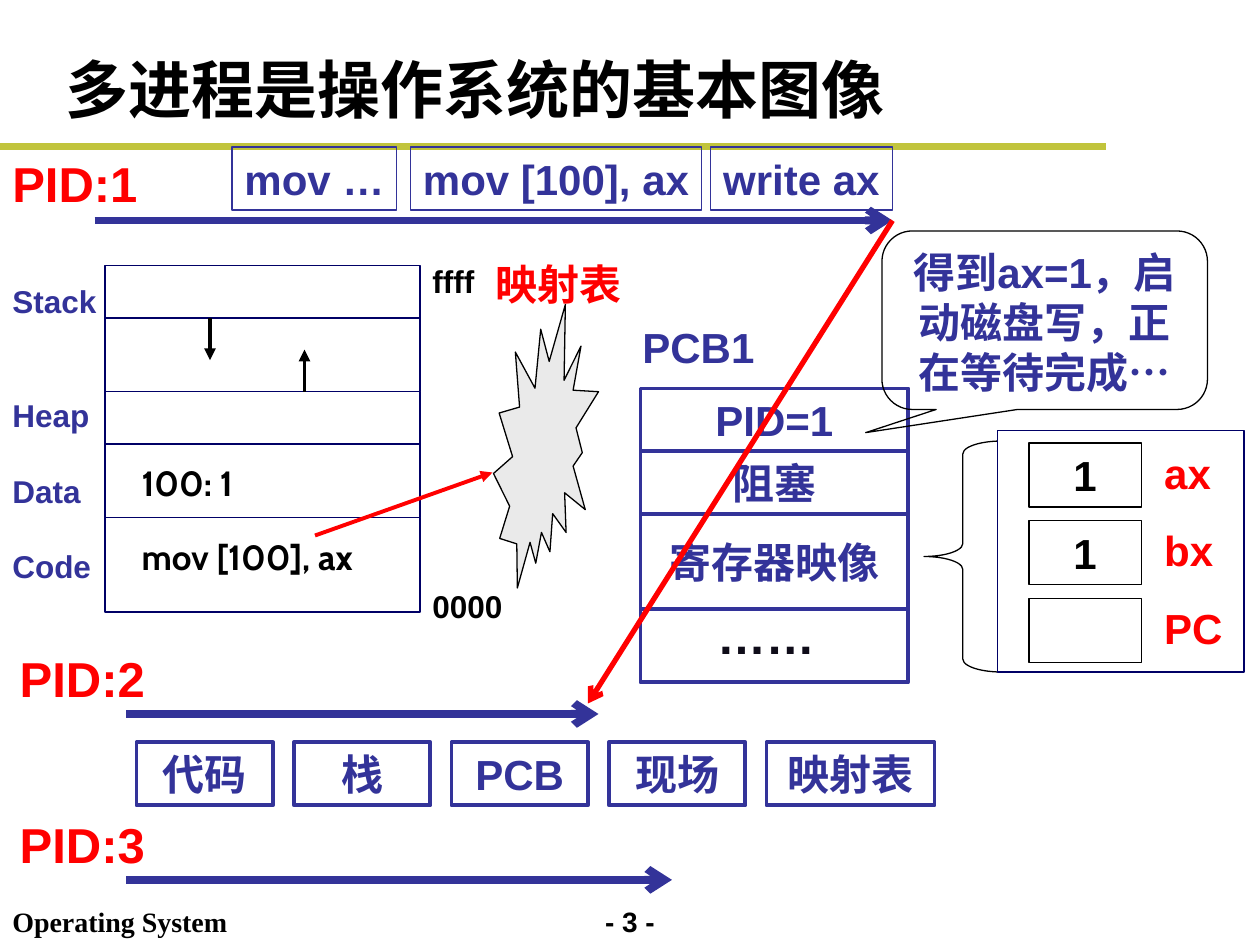
from dataclasses import dataclass
from lxml import etree
from pptx import Presentation
from pptx.dml.color import RGBColor
from pptx.enum.shapes import MSO_CONNECTOR, MSO_SHAPE
from pptx.enum.text import MSO_ANCHOR, PP_ALIGN
from pptx.oxml.ns import qn
from pptx.util import Inches, Pt

RECT, SEAL = MSO_SHAPE.RECTANGLE, MSO_SHAPE.EXPLOSION2
BRACE, CALLOUT = MSO_SHAPE.LEFT_BRACE, MSO_SHAPE.ROUNDED_RECTANGULAR_CALLOUT
STRAIGHT = MSO_CONNECTOR.STRAIGHT
LEFT, CENTER = PP_ALIGN.LEFT, PP_ALIGN.CENTER
TOP, MIDDLE = MSO_ANCHOR.TOP, MSO_ANCHOR.MIDDLE


@dataclass(frozen=True)
class Theme:
    black: str = "000000"
    blue: str = "333399"
    navy: str = "000066"
    red: str = "FF0000"
    olive: str = "C1C43C"
    grey: str = "EAEAEA"
    white: str = "FFFFFF"
    ink: str = "0F0C19"
    title: int = 36
    pid: int = 28
    body: int = 24
    code: int = 20
    label: int = 18
    footer: int = 16
    thin: float = 0.75
    medium: float = 2.25
    thick: float = 4.5


T = Theme()

# Content; all positions are in grid units, 12 to the inch (120 columns, 90 rows)
TITLE = "多进程是操作系统的基本图像"
PROCESSES = [  # name, name x, name y, arrow start x, arrow end x, arrow y
    ("PID:1", 0, 14, 9, 85, 21),
    ("PID:2", 0.7, 61.2, 12, 57, 68),
    ("PID:3", 0.7, 77, 12, 64, 83.8),
]
INSTRUCTIONS = [("mov …", 22.1, 15.7), ("mov [100], ax", 39.1, 27.7),
                ("write ax", 67.7, 17.3)]
MEMORY = [("", 5), ("", 7), ("", 5), ("100: 1", 7), ("mov [100], ax", 9)]
SEGMENTS = [("Stack", 0), ("Heap", 43.5), ("Data", 21.5), ("Code", 21.5)]
PCB = [("PID=1", 6, "Arial"), ("阻塞", 6, "Arial"),
       ("寄存器映像", 9, "Comic Neue"), ("", 7, "Arial")]
REGISTERS = [("ax", "1"), ("bx", "1"), ("PC", "")]
PARTS = [("代码", 13), ("栈", 13), ("PCB", 13), ("现场", 13), ("映射表", 16)]

prs = Presentation()
prs.slide_width, prs.slide_height = Inches(10), Inches(7.5)
s = prs.slides.add_slide(prs.slide_layouts[6])


def grid(*units):
    return [Inches(u / 12) for u in units]


def write(sp, text, size=T.body, color=T.blue, font="Arial", align=LEFT,
          anchor=TOP, wrap=True, before=(), indent=0, top=0.05):
    """Fill a shape with bold text, one paragraph a line."""
    tf = sp.text_frame
    tf.word_wrap, tf.vertical_anchor = wrap, anchor
    tf.margin_top, tf.margin_left = Inches(top), Inches(0.1 + indent)
    for i, line in enumerate(text.split("\n")):
        p = tf.paragraphs[0] if i == 0 else tf.add_paragraph()
        p.alignment = align
        if before:
            p.space_before = Pt(before[i])
        r = p.add_run()
        r.text = line
        r.font.size, r.font.bold, r.font.name = Pt(size), True, font
        r.font.color.rgb = RGBColor.from_string(color)


def label(text, x, y, w, h, **fmt):
    write(s.shapes.add_textbox(*grid(x, y, w, h)), text, **fmt)


def shape(kind, x, y, w, h, line, width=T.thin, fill=None, text="", adjust=(), **fmt):
    sp = s.shapes.add_shape(kind, *grid(x, y, w, h))
    sp.shadow.inherit = False
    for i, value in enumerate(adjust):
        sp.adjustments[i] = value
    if fill:
        sp.fill.solid()
        sp.fill.fore_color.rgb = RGBColor.from_string(fill)
    else:
        sp.fill.background()
    sp.line.color.rgb = RGBColor.from_string(line)
    sp.line.width = Pt(width)
    if text:
        write(sp, text, **fmt)


def line(x1, y1, x2, y2, color, width, head=None):
    c = s.shapes.add_connector(STRAIGHT, *grid(x1, y1, x2, y2))
    c.line.color.rgb = RGBColor.from_string(color)
    c.line.width = Pt(width)
    if head:
        etree.SubElement(c.line._get_or_add_ln(), qn("a:tailEnd"), type=head)
    etree.SubElement(c._element.spPr, qn("a:effectLst"))


# Footer, rule and title
label("- 3 -", 54, 85.6, 12, 4.4, size=T.footer, color=T.black, align=CENTER)
label("Operating System", 0, 85.6, 26, 4.4, size=T.footer, color=T.black,
      font="Times New Roman")
line(0, 14, 105.3, 14, T.olive, 4)
label(TITLE, 5.1, 4, 103, 8.9, size=T.title, color=T.black, anchor=MIDDLE)

# Memory of process 1
y = 25.3
for text, h in MEMORY:
    shape(RECT, 10, y, 30, h, T.navy, fill=T.white, text=text, size=T.code,
          color=T.black, font="Cabin", indent=0.19, top=0.14)
    y += h
label("\n".join(name for name, _ in SEGMENTS), 0, 26.3, 12, 30, size=T.label,
      before=[gap for _, gap in SEGMENTS])
line(20, 30.3, 20, 34.3, T.black, T.medium, "triangle")
line(29, 37.3, 29, 33.3, T.black, T.medium, "triangle")
label("0000", 40, 55.3, 12, 4.8, size=T.label, color=T.black)
label("ffff", 40, 24.4, 8, 4.8, size=T.label, color=T.black)

# Mapping table
shape(SEAL, 47, 29, 10, 27, T.black, fill=T.grey)
label("映射表", 46, 24, 16, 6, color=T.red)
line(30, 51, 46.9, 45, T.red, T.medium, "triangle")

# Processes along their time arrows
for name, x, y, start, end, arrow_y in PROCESSES:
    line(start, arrow_y, end, arrow_y, T.blue, T.thick, "arrow")
    label(name, x, y, 16, 6.8, size=T.pid, color=T.red)
for text, x, w in INSTRUCTIONS:
    shape(RECT, x, 14, w, 6, T.blue, text=text, wrap=False)

# Register image
shape(BRACE, 88, 42, 7.4, 22, T.black, adjust=(0.1667, 0.5))
shape(RECT, 95, 41, 23.5, 23, T.navy, fill=T.white)
for i, (name, value) in enumerate(REGISTERS):
    y = 42.2 + 7.4 * i
    shape(RECT, 98, y, 10.7, 6.1, T.black, text=value, color=T.black, align=CENTER)
    label(name, 109.7, y - 0.2, 10.3, 6, color=T.red)

# Process control block
label("PCB1", 60, 30, 15, 6)
y = 37
for text, h, font in PCB:
    shape(RECT, 61, y, 25.5, h, T.blue, T.medium, text=text, font=font,
          align=CENTER, anchor=MIDDLE, wrap=False)
    y += h
label("……", 67, 57.1, 11.9, 6.8, size=T.pid, color=T.ink, align=CENTER)
shape(CALLOUT, 84, 22, 31, 17, T.black, adjust=(-0.55, 0.63, 0.17),
      text="得到ax=1，启动磁盘写，正在等待完成…", align=CENTER)

# Switch from process 1 to process 2, and the parts of a process
line(85, 21, 56, 67, T.red, 3, "arrow")
for i, (text, w) in enumerate(PARTS):
    shape(RECT, 13 + 15 * i, 70.7, w, 6, T.blue, T.medium, text=text, align=CENTER)

prs.save("out.pptx")
